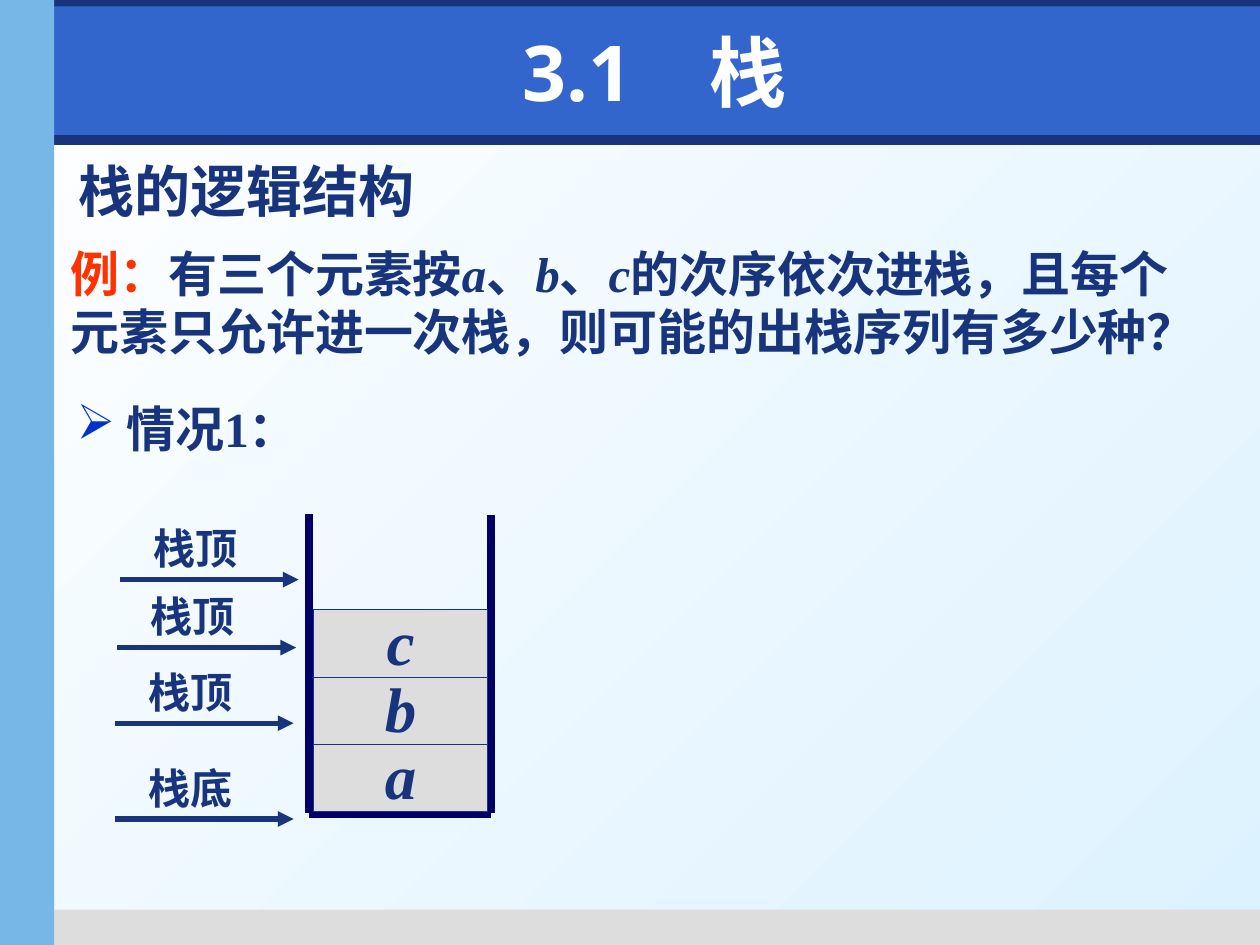
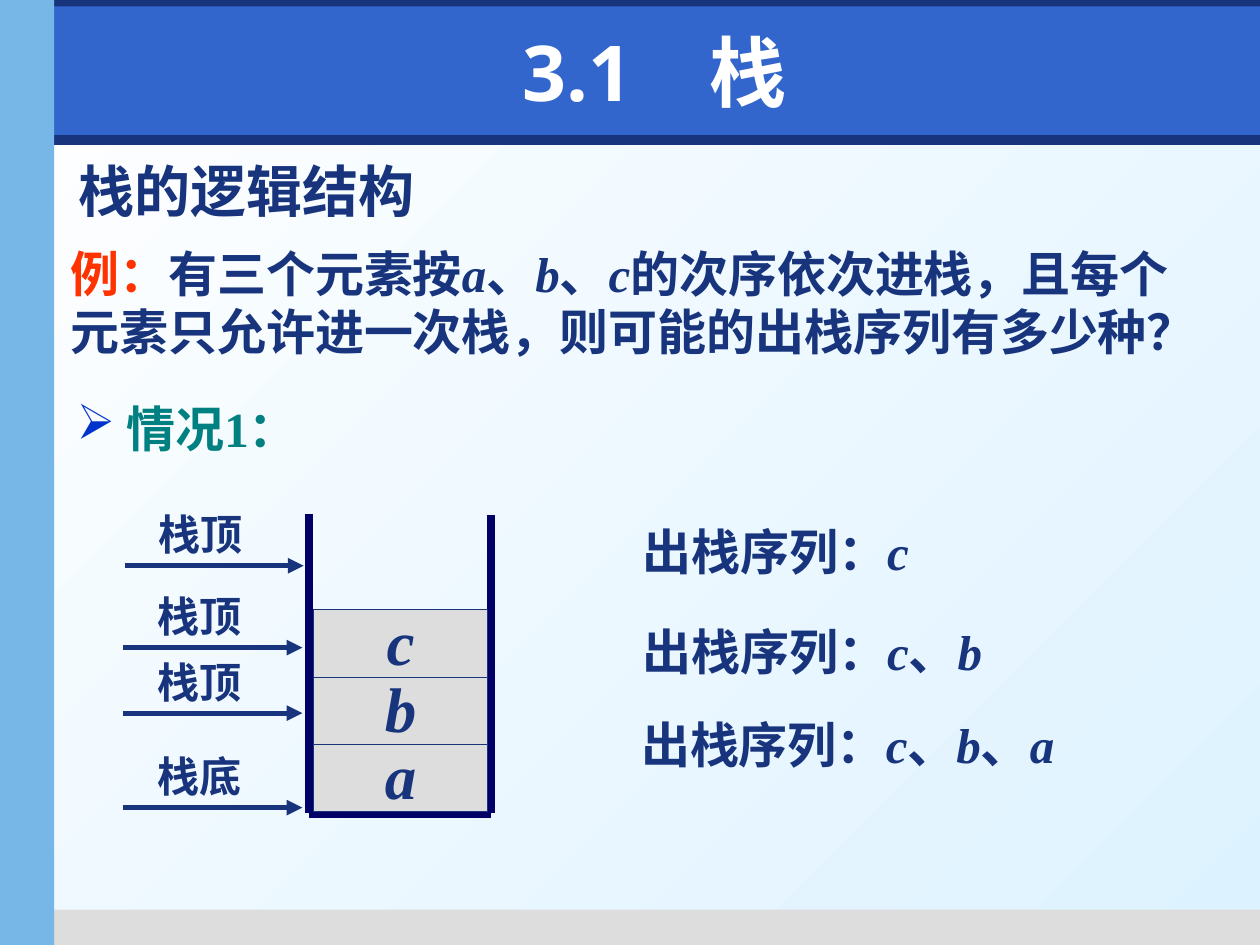
import pptx
import pptx.util
import pptx.dml.color
import pptx.enum.shapes
import pptx.enum.text
import lxml.etree

Inches, Pt = pptx.util.Inches, pptx.util.Pt
SHAPE = pptx.enum.shapes.MSO_SHAPE
LINE = pptx.enum.shapes.MSO_CONNECTOR.STRAIGHT
ALIGN = pptx.enum.text.PP_ALIGN
ANCHOR = pptx.enum.text.MSO_ANCHOR
FIT = pptx.enum.text.MSO_AUTO_SIZE

# Shared look
NAVY, BLUE, SKY, GREY, WHITE = "17347D", "3366CC", "77B7E7", "DDDDDD", "FFFFFF"
RED, TEAL, RAIL, MARK, PALE = "FF3300", "008080", "000066", "0033CC", "DDF2FF"
SERIF, SANS = "Times New Roman", "Open Sans"
BANDS = [  # left, top, width, height, fill
    (0.04, 1.07, 10, 0.08, NAVY),
    (0.35, 7.22, 9.65, 0.28, GREY),
    (0, -0.03, 10, 0.24, NAVY),
    (0.43, 0.05, 9.57, 1.02, BLUE),
    (0, 0, 0.43, 7.5, SKY),
]

# Content: underscores enclose italics
TITLE = "3.1\u3000栈"
TOPIC = " 栈的逻辑结构"
TASK = [("例：", RED),
        ("有三个元素按_a_、_b_、_c_的次序依次进栈，且每个元素只允许进一次栈，"
         "则可能的出栈序列有多少种？", NAVY)]
CASE = "情况1："
ITEMS = "abc"
TOP, BASE = "栈顶", "栈底"
PAGES = [
    {"case": NAVY, "out": [],
     "marks": [(BASE, 0.91, 6.5), (TOP, 0.91, 5.74),
               (TOP, 0.93, 5.14), (TOP, 0.95, 4.6)]},
    {"case": TEAL,
     "marks": [(BASE, 0.98, 6.41), (TOP, 0.98, 5.66),
               (TOP, 0.98, 5.14), (TOP, 0.99, 4.49)],
     "out": [("出栈序列：_c_", 5, 4.09),
             ("出栈序列：_c_、_b_", 5, 4.88),
             ("出栈序列：_c_、_b_、_a_", 4.99, 5.62)]},
]


def color(code):
    return pptx.dml.color.RGBColor.from_string(code)


def write(frame, text, size=28, font=SERIF, ink=NAVY, align=None,
          anchor=ANCHOR.TOP, inset=(0.1, 0.05, 0.1, 0.05), wrap=True):
    """Fill a frame with a string or a list of (string, colour) runs."""
    frame.word_wrap = wrap
    frame.vertical_anchor = anchor
    (frame.margin_left, frame.margin_top,
     frame.margin_right, frame.margin_bottom) = map(Inches, inset)
    para = frame.paragraphs[0]
    para.alignment = align
    runs = [(text, ink)] if isinstance(text, str) else text
    for words, tint in runs:
        for i, part in enumerate(words.split("_")):
            if part:
                run = para.add_run()
                run.text = part
                run.font.name, run.font.size = font, Pt(size)
                run.font.bold, run.font.italic = True, i % 2 == 1
                run.font.color.rgb = color(tint)
    return para


def label(shapes, box, text, **form):
    frame = shapes.add_textbox(*map(Inches, box)).text_frame
    para = write(frame, text, **form)
    frame.auto_size = FIT.SHAPE_TO_FIT_TEXT
    return para


def block(shapes, box, fill, edge=None):
    shape = shapes.add_shape(SHAPE.RECTANGLE, *map(Inches, box))
    shape.shadow.inherit = False
    shape.fill.solid()
    shape.fill.fore_color.rgb = color(fill)
    if edge:
        shape.line.color.rgb = color(edge)
        shape.line.width = Pt(0.75)
    else:
        shape.line.fill.background()
    return shape


def add(node, tag, **attrs):
    name = pptx.oxml.ns.qn("a:" + tag)
    return lxml.etree.SubElement(node, name, attrs)


def rule(shapes, ends, ink, width, head=False):
    wire = shapes.add_connector(LINE, *map(Inches, ends))
    wire.line.color.rgb = color(ink)
    wire.line.width = Pt(width)
    if head:
        add(wire.line._get_or_add_ln(), "tailEnd", type="triangle")
    add(wire._element.spPr, "effectLst")


def mark(slide, text, x, y):
    """Arrow pointing at the stack, with its name above."""
    group = slide.shapes.add_group_shape().shapes
    rule(group, (x, y, x + 1.42, y), NAVY, 3, head=True)
    label(group, (x + 0.17, y - 0.5, 1, 0.5), text, size=24)


def stack(slide):
    left, right, top, low = 2.45, 3.9, 4.08, 6.45
    for ends in [(left, top, left, low), (left, low + 0.01, right, low + 0.01),
                 (right, top + 0.01, right, low)]:
        rule(slide.shapes, ends, RAIL, 4.5)
    for i, item in enumerate(ITEMS):
        box = (left + 0.04, 5.9 - i * 0.53, 1.38, 0.54)
        cell = block(slide.shapes, box, GREY, NAVY)
        write(cell.text_frame, f"_{item}_", size=36, align=ALIGN.CENTER,
              anchor=ANCHOR.MIDDLE, inset=(0.1, 0, 0.1, 0.05), wrap=False)


def dress(layout, slide):
    """Give the layout its background and bands, drawn by way of a slide."""
    fill = layout.background.fill
    fill.gradient()
    fill.gradient_angle = 315
    for stop, tint, place in zip(fill.gradient_stops, (WHITE, PALE), (0, 1)):
        stop.color.rgb = color(tint)
        stop.position = place
    for *box, tint in BANDS:
        band = block(slide.shapes, box, tint)
        layout.shapes.element.append(band.element)


# Build the slides
deck = pptx.Presentation()
deck.slide_width, deck.slide_height = Inches(10), Inches(7.5)
layout = deck.slide_layouts.get_by_name("Title Only")

for i, page in enumerate(PAGES):
    slide = deck.slides.add_slide(layout)
    if i == 0:
        dress(layout, slide)

    # Heading and task
    head = slide.shapes.title
    head.left, head.top, head.width, head.height = map(
        Inches, (0.59, 0.13, 9.21, 0.87))
    write(head.text_frame, TITLE, size=44, font=SANS, ink=WHITE,
          align=ALIGN.CENTER, anchor=ANCHOR.MIDDLE)
    label(slide.shapes, (0.42, 1.19, 3.45, 0.63), TOPIC, size=32)
    label(slide.shapes, (0.56, 1.88, 9.06, 1.03), TASK,
          inset=(0, 0.05, 0, 0.05))

    # Case with its bullet
    para = label(slide.shapes, (0.51, 3.11, 2.36, 0.57),
                 [(" ", NAVY), (CASE, page["case"])])
    props = para._p.get_or_add_pPr()
    add(add(props, "buClr"), "srgbClr", val=MARK)
    add(props, "buChar", char="➢")

    # Stack, pointers and output
    stack(slide)
    for text, x, y in page["marks"]:
        mark(slide, text, x, y)
    for text, x, y in page["out"]:
        label(slide.shapes, (x, y, 3.84, 0.57), text)

deck.save("out.pptx")
